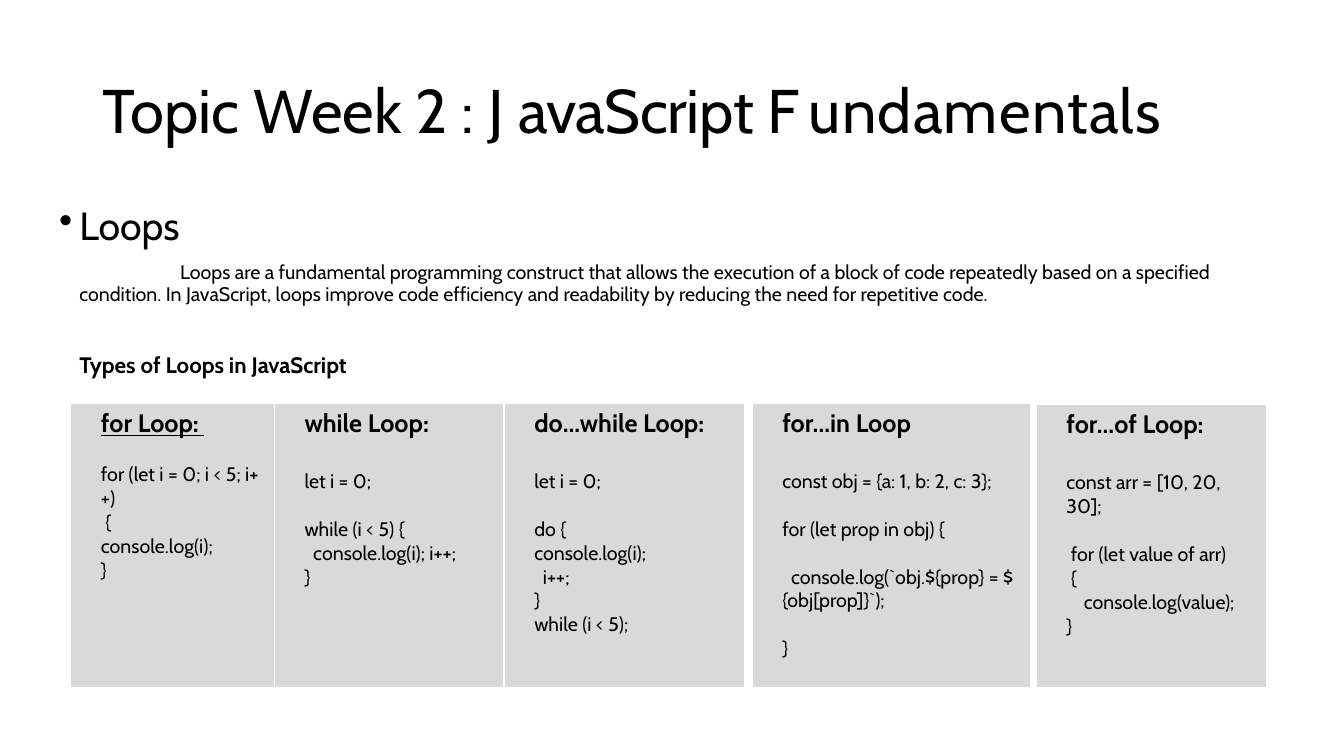
"""Build the slide on JavaScript loops."""
from dataclasses import dataclass

import lxml.etree
import pptx
import pptx.dml.color
import pptx.enum.text
import pptx.oxml.ns
import pptx.util
from pptx.util import Cm, Pt

BLACK = pptx.dml.color.RGBColor(0x00, 0x00, 0x00)
GREY = pptx.dml.color.RGBColor(0xD9, 0xD9, 0xD9)
WHITE = pptx.dml.color.RGBColor(0xFF, 0xFF, 0xFF)
FONT = "Cabin"
MARGIN = Cm(0.51)
SPACE_WIDTH = Cm(0.11)
CODE_LINE = 17
BORDERS = {"a:lnL": 1, "a:lnR": 1, "a:lnT": 1, "a:lnB": 3}


@dataclass(frozen=True)
class Run:
    """Text with its own look."""
    text: str
    size: float
    bold: bool = False
    underline: bool = False
    spacing: float = 0


@dataclass(frozen=True)
class Paragraph:
    """Runs with indents and spacing."""
    runs: tuple[Run, ...]
    margin: int = 0
    indent: int = 0
    before: float = 0
    line_spacing: float = 1.0
    bullet: str = ""


@dataclass(frozen=True)
class Code:
    """A code line, with its leading spaces and the empty lines above it."""
    text: str
    spaces: int = 0
    gap: int = 0


@dataclass(frozen=True)
class LoopCard:
    """A grey panel that shows one kind of loop."""
    heading: str
    left: float
    width: float
    lines: tuple[Code, ...]
    top: float = 10.16
    height: float = 7.21
    heading_gap: float = 22
    underline: bool = False


TITLE = (
    Paragraph((
        Run("Topic Week 2 : ", 44),
        Run("J ", 44),
        Run("avaScript ", 44, spacing=-0.3),
        Run("F ", 44, spacing=-3.5),
        Run("undamentals", 44, spacing=0.9),
    ), line_spacing=0.9),
)

BODY = (
    Paragraph((Run("Loops", 28),), MARGIN, -MARGIN, 10, 0.9, "•"),
    Paragraph((Run(
        "Loops are a fundamental programming construct that allows the execution of a block of "
        "code repeatedly based on a specified condition. In JavaScript, loops improve code "
        "efficiency and readability by reducing the need for repetitive code.", 14),),
        MARGIN, Cm(2.54), 10, 0.9),
    Paragraph((Run("Types of Loops in JavaScript", 16, bold=True),), MARGIN, 0, 35, 0.9),
)

CARDS = (
    LoopCard("for Loop: ", 1.78, 5.13, (
        Code("for (let i = 0; i < 5; i++)"),
        Code("{", 1),
        Code("console.log(i);"),
        Code("}"),
    ), heading_gap=17, underline=True),
    LoopCard("while Loop:", 6.91, 5.77, (
        Code("let i = 0;"),
        Code("while (i < 5) {", gap=1),
        Code("console.log(i); i++;", 2),
        Code("}"),
    )),
    LoopCard("do...while Loop:", 12.7, 6.07, (
        Code("let i = 0;"),
        Code("do {", gap=1),
        Code("console.log(i);"),
        Code("i++;", 2),
        Code("}"),
        Code("while (i < 5);"),
    )),
    LoopCard("for...in Loop", 18.95, 7.01, (
        Code("const obj = {a: 1, b: 2, c: 3};"),
        Code("for (let prop in obj) {", gap=1),
        Code("console.log(`obj.${prop} = ${obj[prop]}`);", 2, 1),
        Code("}", gap=1),
    ), height=7.19),
    LoopCard("for...of Loop:", 26.11, 5.82, (
        Code("const arr = [10, 20, 30];"),
        Code("for (let value of arr)", 1, 1),
        Code("{", 1),
        Code("console.log(value);", 4),
        Code("}"),
    ), top=10.19, height=7.16),
)


def write_paragraphs(text_frame, paragraphs: tuple[Paragraph, ...]) -> None:
    """Fill a text frame, run by run."""
    text_frame.word_wrap = True
    for index, content in enumerate(paragraphs):
        paragraph = text_frame.add_paragraph() if index else text_frame.paragraphs[0]
        paragraph.line_spacing = content.line_spacing
        paragraph.space_before = Pt(content.before)
        properties = paragraph._p.get_or_add_pPr()
        properties.set("marL", str(int(content.margin)))
        properties.set("indent", str(int(content.indent)))
        if content.bullet:
            bullet = lxml.etree.SubElement(properties, pptx.oxml.ns.qn("a:buChar"))
            bullet.set("char", content.bullet)
        for item in content.runs:
            run = paragraph.add_run()
            run.text = item.text
            run.font.name = FONT
            run.font.size = Pt(item.size)
            run.font.bold = item.bold
            run.font.underline = item.underline
            run.font.color.rgb = BLACK
            if item.spacing:
                run._r.get_or_add_rPr().set("spc", str(round(item.spacing * 100)))


def add_text(slide, left: float, top: float, width: float, height: float,
             paragraphs: tuple[Paragraph, ...], anchor) -> None:
    """Add a text box."""
    shape = slide.shapes.add_textbox(Cm(left), Cm(top), Cm(width), Cm(height))
    shape.text_frame.vertical_anchor = anchor
    write_paragraphs(shape.text_frame, paragraphs)


def add_borders(cell) -> None:
    """Give a cell its white borders."""
    properties = cell._tc.get_or_add_tcPr()
    for tag, width in BORDERS.items():
        line = lxml.etree.SubElement(properties, pptx.oxml.ns.qn(tag), w=str(int(Pt(width))))
        fill = lxml.etree.SubElement(line, pptx.oxml.ns.qn("a:solidFill"))
        lxml.etree.SubElement(fill, pptx.oxml.ns.qn("a:srgbClr"), val=str(WHITE))


def add_card(slide, card: LoopCard) -> None:
    """Add a loop panel as a table of one cell."""
    table = slide.shapes.add_table(
        1, 1, Cm(card.left), Cm(card.top), Cm(card.width), Cm(card.height)).table
    table.first_row = False
    table.horz_banding = False
    cell = table.cell(0, 0)
    add_borders(cell)
    cell.fill.solid()
    cell.fill.fore_color.rgb = GREY
    heading = Paragraph((Run(card.heading, 18, True, card.underline),), MARGIN)
    code = tuple(
        Paragraph((Run(line.text, 14),), MARGIN, line.spaces * SPACE_WIDTH,
                  line.gap * CODE_LINE if index else card.heading_gap)
        for index, line in enumerate(card.lines))
    write_paragraphs(cell.text_frame, (heading, *code))


def main() -> None:
    """Build and save the presentation."""
    presentation = pptx.Presentation()
    presentation.slide_width = Cm(33.87)
    presentation.slide_height = Cm(19.05)
    slide = presentation.slides.add_slide(presentation.slide_layouts[6])
    anchors = pptx.enum.text.MSO_ANCHOR
    add_text(slide, 2.34, 1.02, 29.21, 3.68, TITLE, anchors.MIDDLE)
    add_text(slide, 1.24, 5.08, 31.52, 12.95, BODY, anchors.TOP)
    for card in CARDS:
        add_card(slide, card)
    presentation.save("out.pptx")


if __name__ == "__main__":
    main()
